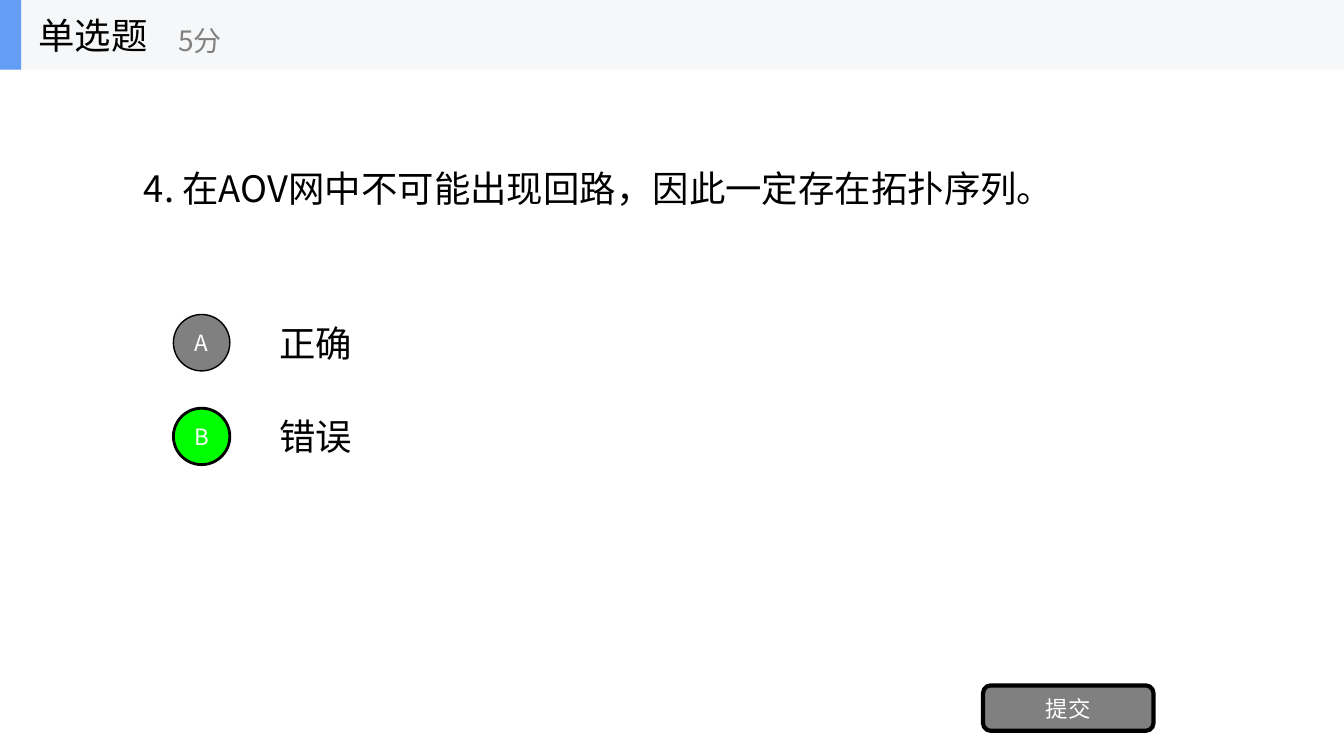
from lxml.etree import SubElement
from pptx import Presentation
from pptx.dml.color import RGBColor
from pptx.enum.shapes import MSO_SHAPE as Shape
from pptx.enum.text import MSO_ANCHOR as Anchor, MSO_AUTO_SIZE as AutoSize, PP_ALIGN as Align
from pptx.oxml.ns import qn
from pptx.util import Inches, Pt


def colour(code):
    return RGBColor.from_string(code)


class QuizPage:
    """Builds a quiz slide in one consistent style."""

    FONT = "Noto Sans CJK SC"
    BLACK, GREY, WHITE, GREEN = "000000", "808080", "FFFFFF", "00FF00"
    BAND, ACCENT = "F6F7F8", "639EF4"

    def __init__(self, deck):
        self.page = deck.slides.add_slide(deck.slide_layouts[5])

    def set_text(self, shape, text, size, code, align=Align.LEFT):
        frame = shape.text_frame
        layout = {"word_wrap": True, "auto_size": AutoSize.NONE, "vertical_anchor": Anchor.MIDDLE}
        for name, value in layout.items():
            setattr(frame, name, value)
        para = frame.paragraphs[0]
        para.alignment = align
        span = para.add_run()
        span.text = text
        for name, value in {"name": self.FONT, "size": Pt(size), "bold": False}.items():
            setattr(span.font, name, value)
        span.font.color.rgb = colour(code)
        SubElement(span._r.get_or_add_rPr(), qn("a:ea"), typeface=self.FONT)

    def title(self, text, left, top, width, height):
        title = self.page.shapes.title
        bounds = {"left": left, "top": top, "width": width, "height": height}
        for name, value in bounds.items():
            setattr(title, name, Inches(value))
        self.set_text(title, text, 26, self.BLACK)
        tree = title._element.getparent()
        tree.append(title._element)

    def text(self, text, left, top, width, height, size=26, code=BLACK):
        box = self.page.shapes.add_textbox(*map(Inches, (left, top, width, height)))
        self.set_text(box, text, size, code)

    def shape(self, kind, left, top, width, height, fill, border=0, label=""):
        shape = self.page.shapes.add_shape(kind, *map(Inches, (left, top, width, height)))
        shape.shadow.inherit = False
        shape.fill.solid()
        shape.fill.fore_color.rgb = colour(fill)
        if border:
            shape.line.color.rgb = colour(self.BLACK)
            shape.line.width = Pt(border)
        else:
            shape.line.fill.background()
        if label:
            self.set_text(shape, label, 16, self.WHITE, Align.CENTER)

    def option(self, letter, answer, top, fill, border):
        self.text(answer, 2.67, top, 9.33, 0.7)
        self.shape(Shape.OVAL, 1.72, top + 0.07, 0.56, 0.56, fill, border, letter)


def main():
    deck = Presentation()
    deck.slide_width, deck.slide_height = Inches(13.33), Inches(7.5)
    quiz = QuizPage(deck)

    quiz.text("4. 在AOV网中不可能出现回路，因此一定存在拓扑序列。", 1.33, 0.69, 10.67, 2.34)
    options = [("A", "正确", quiz.GREY, 1), ("B", "错误", quiz.GREEN, 2)]
    for row, (letter, answer, fill, border) in enumerate(options):
        quiz.option(letter, answer, 3.05 + 0.93 * row, fill, border)
    quiz.shape(Shape.ROUNDED_RECTANGLE, 9.75, 6.8, 1.69, 0.45, quiz.GREY, 3, "提交")

    quiz.shape(Shape.RECTANGLE, 0, 0, 13.33, 0.69, quiz.BAND)
    quiz.shape(Shape.RECTANGLE, 0, 0, 0.21, 0.69, quiz.ACCENT)
    quiz.title("单选题", 0.28, 0, 2.08, 0.69)
    quiz.text("5分", 1.67, 0.12, 2.5, 0.56, 20, quiz.GREY)

    deck.save("out.pptx")


if __name__ == "__main__":
    main()
